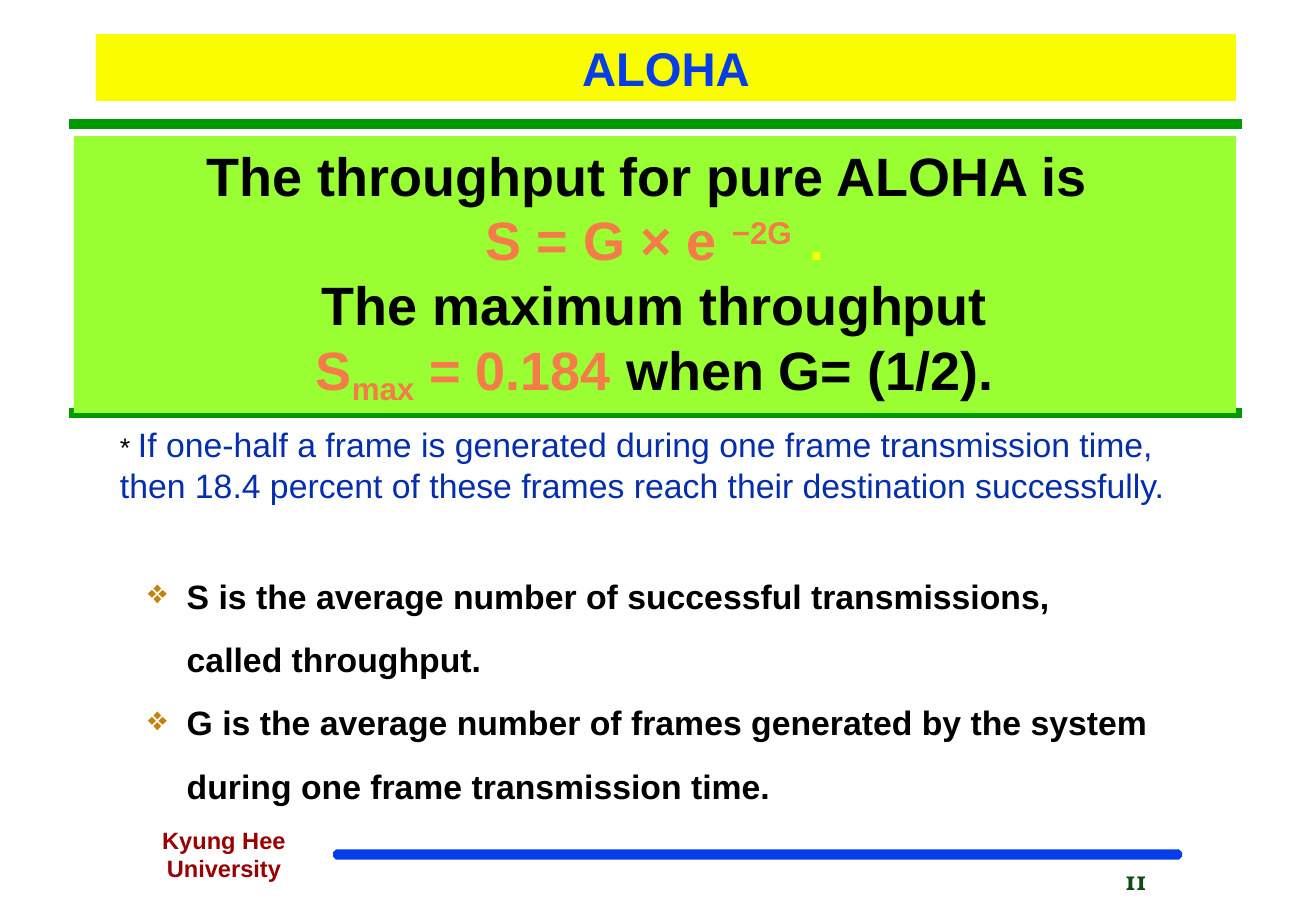
"""Build the ALOHA throughput slide."""
from dataclasses import dataclass

import pptx
import pptx.dml.color
import pptx.enum.shapes
import pptx.enum.text
import pptx.oxml
import pptx.oxml.ns
import pptx.util

ALIGN = pptx.enum.text.PP_ALIGN
ANCHOR = pptx.enum.text.MSO_ANCHOR
SHAPE = pptx.enum.shapes.MSO_SHAPE
NS = pptx.oxml.ns.nsdecls("a")


@dataclass(frozen=True)
class Theme:
    """Colours, fonts and type sizes."""
    yellow: str = "FAFD00"
    blue: str = "063DE8"
    navy: str = "052EAE"
    green: str = "009900"
    lime: str = "99FF33"
    orange: str = "F57B49"
    gold: str = "C2840F"
    maroon: str = "990000"
    forest: str = "0F4D13"
    black: str = "000000"
    font: str = "Arial"
    number_font: str = "Vollkorn"
    formula: int = 32
    title: int = 28
    body: int = 20
    small: int = 16
    footer: int = 14


def px(n):
    """Convert px to EMU at 100 px to the inch."""
    return pptx.util.Emu(n * 9144)


def rgb(value):
    """Turn a hex string into a colour."""
    return pptx.dml.color.RGBColor.from_string(value)


def add_text(p, text, *, size, color, font=Theme.font, bold=True, base=0):
    """Add one formatted run to a paragraph."""
    r = p.add_run()
    r.text = text
    r.font.size = pptx.util.Pt(size)
    r.font.name = font
    r.font.bold = bold
    r.font.color.rgb = rgb(color)
    if base:
        r.font._element.set("baseline", str(base * 1000))


class Deck:
    """Hold the theme and the current slide."""

    def __init__(self, width, height):
        """Start a presentation with one title-only slide."""
        self.theme = Theme()
        self.prs = pptx.Presentation()
        self.prs.slide_width, self.prs.slide_height = px(width), px(height)
        self.s = self.prs.slides.add_slide(self.prs.slide_layouts[5])

    def frame(self, sp, anchor=ANCHOR.TOP):
        """Set up the text frame of a shape."""
        tf = sp.text_frame
        tf.word_wrap = True
        tf.auto_size = pptx.enum.text.MSO_AUTO_SIZE.NONE
        tf.vertical_anchor = anchor
        tf.margin_left = tf.margin_right = px(10)
        tf.margin_top = tf.margin_bottom = px(5)
        return tf

    def fill(self, sp, color):
        """Give a shape a solid fill."""
        sp.fill.solid()
        sp.fill.fore_color.rgb = rgb(color)

    def title(self, text, x, y, w, h):
        """Place and format the title."""
        sp = self.s.shapes.title
        sp.left, sp.top, sp.width, sp.height = map(px, (x, y, w, h))
        self.fill(sp, self.theme.yellow)
        p = self.frame(sp, ANCHOR.MIDDLE).paragraphs[0]
        p.alignment = ALIGN.CENTER
        add_text(p, text, size=self.theme.title, color=self.theme.blue)

    def rule(self, x1, x2, y):
        """Draw a thick horizontal rule."""
        sp = self.s.shapes.add_connector(
            pptx.enum.shapes.MSO_CONNECTOR.STRAIGHT, px(x1), px(y), px(x2), px(y))
        sp.line.color.rgb = rgb(self.theme.green)
        sp.line.width = pptx.util.Pt(6)
        sp._element.spPr.append(pptx.oxml.parse_xml(f"<a:effectLst {NS}/>"))

    def shape(self, kind, x, y, w, h, color, line=None):
        """Draw a filled preset shape."""
        sp = self.s.shapes.add_shape(kind, px(x), px(y), px(w), px(h))
        sp.shadow.inherit = False
        self.fill(sp, color)
        if line:
            sp.line.color.rgb = rgb(line)
            sp.line.width = pptx.util.Pt(1)
        else:
            sp.line.fill.background()
        return sp

    def box(self, x, y, w, h):
        """Add a text box and return its frame."""
        return self.frame(self.s.shapes.add_textbox(px(x), px(y), px(w), px(h)))

    def paragraphs(self, tf, rows, align=ALIGN.LEFT, **style):
        """Write rows of (text, overrides) runs, with None as a line break."""
        for i, row in enumerate(rows):
            p = tf.add_paragraph() if i else tf.paragraphs[0]
            p.alignment = align
            for run in row:
                if run is None:
                    p.add_line_break()
                else:
                    add_text(p, run[0], **{**style, **run[1]})

    def bullets(self, tf, items, indent, gap):
        """Write each item as a bulleted line and an indented second line."""
        rows = [[(line, {})] for item in items for line in item]
        self.paragraphs(tf, rows, size=self.theme.body, color=self.theme.black)
        for i, p in enumerate(tf.paragraphs):
            pPr = p._p.get_or_add_pPr()
            pPr.set("marL", str(px(indent)))
            pPr.set("indent", str(0 if i % 2 else -px(indent)))
            if i % 2 == 0:
                for xml in (f'<a:buClr {NS}><a:srgbClr val="{self.theme.gold}"/></a:buClr>',
                            f'<a:buChar {NS} char="❖"/>'):
                    pPr.append(pptx.oxml.parse_xml(xml))
            if i:
                p.space_before = pptx.util.Pt(gap)


def main():
    """Build and save the slide."""
    d = Deck(1084, 750)
    t = d.theme
    d.title("ALOHA", 79, 28, 939, 55)
    for y in (102, 340):
        d.rule(57, 1023, y)

    orange = {"color": t.orange}
    panel = d.shape(SHAPE.RECTANGLE, 61, 112, 957, 228, t.lime)
    d.paragraphs(d.frame(panel), [
        [("The throughput for pure ALOHA is ", {}), None,
         ("S = G × e ", orange), ("−2G  ", {**orange, "base": 30}),
         (".", {"color": t.yellow})],
        [("The maximum throughput", {})],
        [("S", orange), ("max", {**orange, "base": -18}),
         (" = 0.184 ", orange), ("when G= (1/2).", {})],
    ], ALIGN.CENTER, size=t.formula, color=t.black)

    d.paragraphs(d.box(89, 344, 914, 77), [[
        ("* ", {"size": t.small, "color": t.black}),
        ("If one-half a frame is generated during one frame transmission time, "
         "then 18.4 percent of these frames reach their destination successfully.", {}),
    ]], size=t.body, color=t.navy, bold=False)

    d.bullets(d.box(112, 469, 890, 196), [
        ("S is the average number of successful transmissions,",
         "called throughput."),
        ("G is the average number of frames generated by the system",
         "during one frame transmission time."),
    ], indent=32, gap=13.5)

    bar = d.shape(SHAPE.OCTAGON, 275, 700, 698, 7, t.blue, t.blue)
    bar.adjustments[0] = 0.29
    d.paragraphs(d.box(80, 675, 209, 57), [[("Kyung Hee University", {})]],
                 ALIGN.CENTER, size=t.footer, color=t.maroon)
    d.paragraphs(d.box(917, 706, 135, 40), [[("11", {})]],
                 size=t.small, color=t.forest, font=t.number_font)
    d.prs.save("out.pptx")


if __name__ == "__main__":
    main()
